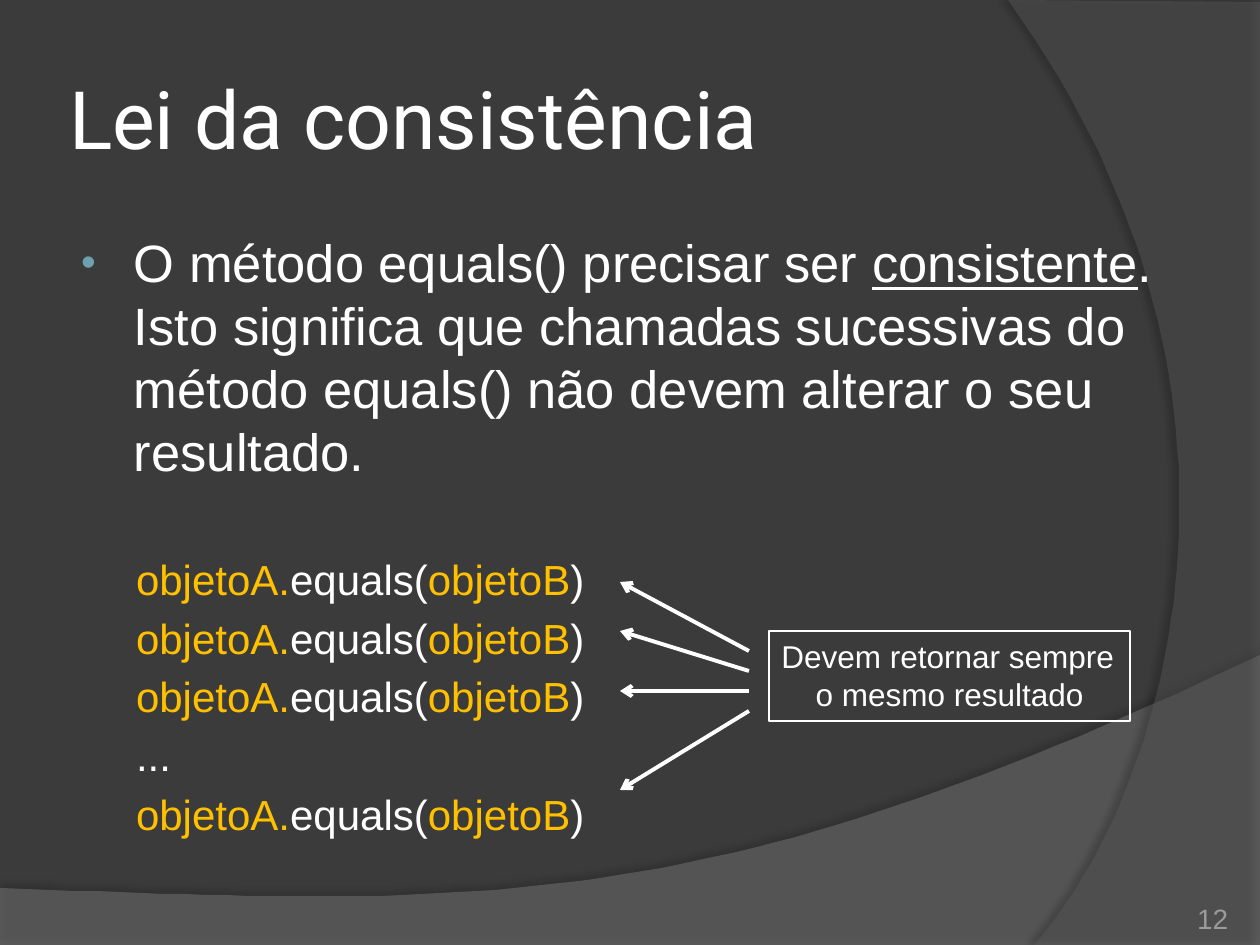
from dataclasses import dataclass
from lxml.etree import SubElement as Sub
from pptx import Presentation
from pptx.dml.color import RGBColor as Rgb
from pptx.enum.shapes import MSO_CONNECTOR as Link, MSO_SHAPE as Kind
from pptx.enum.text import MSO_ANCHOR as Anchor, MSO_AUTO_SIZE as Fit, PP_ALIGN as Align
from pptx.oxml.ns import qn
from pptx.util import Pt

UNIT = 9144000 / 1260


@dataclass(frozen=True)
class Theme:
    """Colours, fonts and type sizes."""
    back: str = "3B3B3B"
    band: str = "7F7F7F"
    side: str = "5E5E5E"
    shade: str = "000000"
    ink: str = "FFFFFF"
    gold: str = "FFC000"
    dot: str = "6EA0B0"
    mute: str = "9D9B9A"
    head: str = "Roboto"
    font: str = "Arial"
    title: int = 46
    body: int = 30
    code: int = 24
    note: int = 18
    page: int = 16


def px(num):
    """Turn pixels into EMU."""
    return round(num * UNIT)


def curve(a, b, c, d, steps=60):
    """Return points along a cubic curve."""
    pts = []
    for i in range(steps + 1):
        t = i / steps
        u = 1 - t
        pts.append(tuple(u**3 * p + 3 * u * u * t * q + 3 * u * t * t * r + t**3 * s
                         for p, q, r, s in zip(a, b, c, d)))
    return pts


class Deck:
    """Draws styled elements on the current slide."""

    def __init__(self, theme):
        self.theme = theme
        self.prs = Presentation()
        self.prs.slide_width, self.prs.slide_height = px(1260), px(945)
        self.slide = self.prs.slides.add_slide(self.prs.slide_layouts[1])
        self.shapes = self.slide.shapes
        fill = self.slide.background.fill
        fill.solid()
        fill.fore_color.rgb = Rgb.from_string(theme.back)

    def style(self, run, size, color=None, font=None):
        """Format one run."""
        run.font.size = Pt(size)
        run.font.name = font or self.theme.font
        run.font.color.rgb = Rgb.from_string(color or self.theme.ink)

    def place(self, shape, box):
        """Move and size a shape."""
        shape.left, shape.top, shape.width, shape.height = map(px, box)

    def inset(self, frame, left, top, right, low):
        """Set the margins of a frame."""
        frame.margin_left, frame.margin_top = px(left), px(top)
        frame.margin_right, frame.margin_bottom = px(right), px(low)

    def sweep(self, pts, color, alpha, shade, dist, angle):
        """Draw a clear shape with a soft shadow behind the rest."""
        form = self.shapes.build_freeform(*pts[0], scale=UNIT)
        form.add_line_segments(pts[1:], close=True)
        shape = form.convert_to_shape()
        shape.line.fill.background()
        shape.fill.solid()
        shape.fill.fore_color.rgb = Rgb.from_string(color)
        shape.shadow.inherit = False
        props = shape._element.spPr
        tint = props.find(qn("a:solidFill"))[0]
        Sub(tint, qn("a:alpha"), val=str(alpha * 1000))
        cast = Sub(props.find(qn("a:effectLst")), qn("a:outerShdw"), blurRad=str(Pt(4)),
                   dist=str(Pt(dist)), dir=str(angle * 60000), algn="ctr", rotWithShape="0")
        tone = Sub(cast, qn("a:srgbClr"), val=self.theme.shade)
        Sub(tone, qn("a:alpha"), val=str(shade * 1000))
        self.shapes._spTree.insert(2, shape._element)

    def title(self, text, box):
        """Fill the title placeholder."""
        shape = self.shapes.title
        self.place(shape, box)
        frame = shape.text_frame
        frame.text = text
        frame.auto_size = Fit.NONE
        frame.vertical_anchor = Anchor.MIDDLE
        self.inset(frame, 6, 6, 6, 6)
        para = frame.paragraphs[0]
        para.alignment = Align.LEFT
        self.style(para.runs[0], self.theme.title, font=self.theme.head)

    def body(self, box):
        """Ready the body placeholder and return its frame."""
        shape = self.slide.placeholders[1]
        self.place(shape, box)
        frame = shape.text_frame
        frame.auto_size = Fit.NONE
        self.inset(frame, 13, 10, 13, 6)
        return frame

    def para(self, para, parts, size, left, hang=0, bullet=None):
        """Write one paragraph from text and colour pairs."""
        para.line_spacing = Pt(size * 1.2)
        para.space_before = Pt(0 if bullet else size * 0.2)
        for text, color in parts:
            run = para.add_run()
            run.text = text
            self.style(run, size, color)
        props = para._p.get_or_add_pPr()
        props.set("marL", str(px(left)))
        props.set("indent", str(px(-hang)))
        if bullet:
            Sub(Sub(props, qn("a:buClr")), qn("a:srgbClr"), val=self.theme.dot)
            Sub(props, qn("a:buSzPct"), val="80000")
            Sub(props, qn("a:buFont"), typeface=self.theme.font)
            Sub(props, qn("a:buChar"), char=bullet)
        else:
            Sub(props, qn("a:buNone"))

    def page(self, text, box):
        """Write the page number."""
        frame = self.shapes.add_textbox(*map(px, box)).text_frame
        frame.word_wrap = True
        frame.text = text
        frame.vertical_anchor = Anchor.BOTTOM
        self.inset(frame, 0, 0, 0, 0)
        para = frame.paragraphs[0]
        para.alignment = Align.RIGHT
        self.style(para.runs[0], self.theme.page, self.theme.mute)

    def note(self, text, box):
        """Draw an outlined note."""
        shape = self.shapes.add_shape(Kind.RECTANGLE, *map(px, box))
        shape.shadow.inherit = False
        shape.fill.background()
        shape.line.color.rgb = Rgb.from_string(self.theme.ink)
        shape.line.width = Pt(0.75)
        frame = shape.text_frame
        frame.text = text
        frame.word_wrap = False
        frame.vertical_anchor = Anchor.TOP
        for para, align in zip(frame.paragraphs, (Align.LEFT, Align.CENTER)):
            para.alignment = align
            self.style(para.runs[0], self.theme.note)

    def arrow(self, x, y, to, end):
        """Draw an arrow."""
        line = self.shapes.add_connector(Link.STRAIGHT, px(x), px(y), px(to), px(end))
        line.line.color.rgb = Rgb.from_string(self.theme.ink)
        line.line.width = Pt(2.25)
        Sub(line.line._get_or_add_ln(), qn("a:tailEnd"), type="arrow")
        Sub(line._element.spPr, qn("a:effectLst"))


def main():
    """Build the slide."""
    look = Theme()
    deck = Deck(look)
    side = [(1260, 2), (1260, 945)] + curve((1034, 945), (1178, 780), (1283, 378), (1008, 0))
    deck.sweep(side, look.side, 40, 45, 4, 180)
    band = [(0, 945), (1260, 945)] + curve((1260, 655), (704, 919), (493, 906), (0, 888))
    deck.sweep(band, look.band, 45, 35, 3.5, 270)

    deck.title("Lei da consistência", (63, 38, 1148, 158))
    frame = deck.body((63, 220, 1103, 624))
    lead = frame.paragraphs[0]
    deck.para(lead, [("O método equals() precisar ser ", None), ("consistente", None),
                     (". Isto significa que chamadas sucessivas do método equals() "
                      "não devem alterar o seu resultado.", None)],
              look.body, 58, 53, "•")
    lead.runs[1].font.underline = True
    lead.add_line_break()
    call = [("objetoA.", look.gold), ("equals(", None), ("objetoB", look.gold), (")", None)]
    for parts in (call, call, call, [("...", None)], call):
        deck.para(frame.add_paragraph(), parts, look.code, 60)

    deck.page("12", (1124, 885, 104, 50))
    deck.note("Devem retornar sempre\no mesmo resultado", (769, 631, 361, 90))
    for i, end in enumerate((582, 631, 691, 790)):
        deck.arrow(749, 651 + 20 * i, 620, end)
    deck.prs.save("out.pptx")


main()
